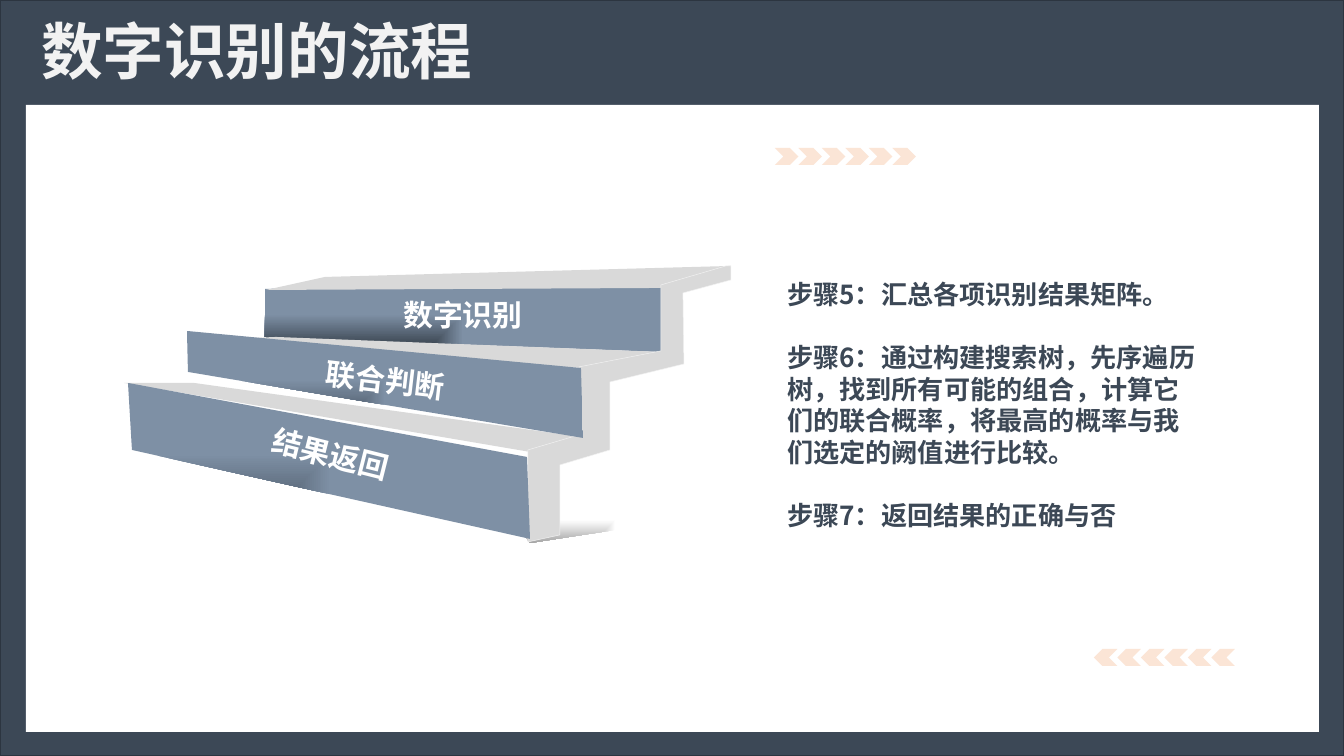
from math import cos, sin, radians

from lxml.etree import SubElement
from pptx import Presentation
from pptx.dml.color import RGBColor
from pptx.enum.shapes import MSO_SHAPE as Preset
from pptx.enum.text import MSO_ANCHOR as Anchor, PP_ALIGN as Align
from pptx.oxml.ns import qn
from pptx.util import Pt

SCALE = 914400 / 134.4  # EMU per px
FONT = "Noto Sans CJK SC"
COLORS = {
    "frame": "3C4856", "frame_line": "2C3540", "panel": "FFFFFF",
    "title": "F2F2F2", "body": "3C4856", "label": "FFFFFF",
    "face_dark": "2D3640", "face": "7E90A5",
    "shadow_dark": "A6A6A6", "shadow": "FFFFFF",
    "tread": "D9D9D9", "edge": "F2F2F2", "chevron": "FBE5D6",
}
STEPS = [
    "步骤5：汇总各项识别结果矩阵。",
    "步骤6：通过构建搜索树，先序遍历树，找到所有可能的组合，"
    "计算它们的联合概率，将最高的概率与我们选定的阙值进行比较。",
    "步骤7：返回结果的正确与否",
]

# Staircase parts from back to front: corners, fill names, turn, label
STAIR_PARTS = [
    # Ground shadow
    ([(406, 277), (608, 246), (375, 231)], ("shadow_dark", "shadow"), 0, None),
    # Top face
    ([(141, 71), (141, 23), (537, 11), (537, 86)],
     ("face_dark", "face"), 0, "数字识别"),
    # Treads: bottom, middle, top
    ([(0, 117), (406, 186), (457, 171), (70, 117)], ("tread",), 0, None),
    ([(63, 75), (152, 71), (537, 86), (457, 102)], ("tread",), 0, None),
    ([(607, 0), (607, 1), (536, 22), (142, 24), (201, 11)], ("tread",), 0, None),
    # Stepped side with an edge line
    ([(602, 0), (607, 0), (607, 14), (559, 27), (560, 98), (486, 116),
      (486, 184), (436, 199), (436, 269), (404, 276), (404, 184), (455, 169),
      (455, 101), (537, 85), (537, 19)], ("tread", "edge"), 0, None),
    # Middle and bottom faces
    ([(63, 65), (457, 102), (459, 172), (64, 106)],
     ("face_dark", "face"), 6.7, "联合判断"),
    ([(4, 117), (403, 191), (406, 273), (8, 184)],
     ("face_dark", "face"), 14.1, "结果返回"),
]


def px(value):
    return round(value * SCALE)


def color(name):
    return RGBColor.from_string(COLORS[name])


def paint(shape, fill, line=None, line_width=1):
    shape.shadow.inherit = False
    shape.fill.solid()
    shape.fill.fore_color.rgb = color(fill)
    if line:
        shape.line.color.rgb = color(line)
        shape.line.width = Pt(line_width)
    else:
        shape.line.fill.background()


def paint_gradient(shape, names):
    """Rectangular gradient that starts in the lower left corner."""
    shape.shadow.inherit = False
    shape.line.fill.background()
    shape.fill.gradient()
    for stop, name in zip(shape.fill.gradient_stops, names):
        stop.color.rgb = color(name)
    gradient = shape._element.spPr.find(qn("a:gradFill"))
    gradient.remove(gradient.find(qn("a:lin")))
    rectangle = SubElement(gradient, qn("a:path"), {"path": "rect"})
    SubElement(rectangle, qn("a:fillToRect"), {"t": "100000", "r": "100000"})


def format_text(paragraph, size, name):
    for run in paragraph.runs:
        font = run.font
        font.size, font.bold, font.name = Pt(size), True, FONT
        font.color.rgb = color(name)
        properties = run._r.get_or_add_rPr()
        SubElement(properties, qn("a:ea"), {"typeface": FONT})


def set_margins(text_frame, margin):
    text_frame.margin_left = text_frame.margin_right = px(margin)
    text_frame.margin_top = text_frame.margin_bottom = px(margin)


def add_rectangle(shapes, box, fill, line=None):
    shape = shapes.add_shape(Preset.RECTANGLE, *map(px, box))
    paint(shape, fill, line)


def add_text_box(slide, box):
    text_frame = slide.shapes.add_textbox(*map(px, box)).text_frame
    text_frame.word_wrap = True
    text_frame.vertical_anchor = Anchor.MIDDLE
    return text_frame


def turn_back(points, angle):
    """Corners of the level shape that lands on points once it is turned."""
    turn = complex(cos(radians(angle)), sin(radians(angle)))
    level = [complex(x, y) / turn for x, y in points]
    xs, ys = [p.real for p in level], [p.imag for p in level]
    center = complex(min(xs) + max(xs), min(ys) + max(ys)) / 2
    shift = center * turn - center
    return [((p + shift).real, (p + shift).imag) for p in level]


def add_outline(shapes, left, top, points, angle):
    corners = [(px(left + x), px(top + y)) for x, y in turn_back(points, angle)]
    builder = shapes.build_freeform(*corners[0])
    builder.add_line_segments(corners[1:], close=True)
    shape = builder.convert_to_shape()
    shape.rotation = angle
    return shape


def add_frame(slide, box):
    left, top, width, height = box
    add_rectangle(slide.shapes, box, "frame", "frame_line")
    panel = (left + 26, top + 105, width - 51, height - 129)
    add_rectangle(slide.shapes, panel, "panel")


def add_title(slide, box, text):
    text_frame = add_text_box(slide, box)
    text_frame.text = text
    paragraph = text_frame.paragraphs[0]
    paragraph.line_spacing = 0.9
    format_text(paragraph, 33, "title")


def add_staircase(slide, left, top):
    shapes = slide.shapes.add_group_shape().shapes
    for points, fills, angle, label in STAIR_PARTS:
        shape = add_outline(shapes, left, top, points, angle)
        if fills[0] == "tread":
            paint(shape, *fills, line_width=0.25)
        else:
            paint_gradient(shape, fills)
        if label:
            text_frame = shape.text_frame
            text_frame.text = label
            text_frame.word_wrap = angle != 0
            text_frame.vertical_anchor = Anchor.MIDDLE
            set_margins(text_frame, 0)
            paragraph = text_frame.paragraphs[0]
            paragraph.alignment = Align.CENTER
            format_text(paragraph, 16, "label")


def add_steps(slide, box):
    text_frame = add_text_box(slide, box)
    set_margins(text_frame, 13)
    text_frame.text = "\n".join(STEPS)
    for index, paragraph in enumerate(text_frame.paragraphs):
        paragraph.space_before = Pt(17 if index else 0)
        format_text(paragraph, 14, "body")


def add_chevrons(slide, box, flipped=False, count=6):
    left, top, width, height = box
    shapes = slide.shapes.add_group_shape().shapes
    pitch = width / count
    for index in range(count):
        cell = (left + index * pitch, top, pitch, height)
        shape = shapes.add_shape(Preset.CHEVRON, *map(px, cell))
        paint(shape, "chevron")
        if flipped:
            shape._element.spPr.find(qn("a:xfrm")).set("flipH", "1")


def main():
    presentation = Presentation()
    presentation.slide_width, presentation.slide_height = px(1344), px(756)
    slide = presentation.slides.add_slide(presentation.slide_layouts[6])
    add_frame(slide, (0, 0, 1344, 756))
    add_staircase(slide, 124, 266)
    add_steps(slide, (774, 226, 437, 357))
    add_chevrons(slide, (775, 148, 141, 17))
    add_chevrons(slide, (1094, 649, 141, 17), flipped=True)
    add_title(slide, (28, 4, 1159, 101), "数字识别的流程")
    presentation.save("out.pptx")


if __name__ == "__main__":
    main()
